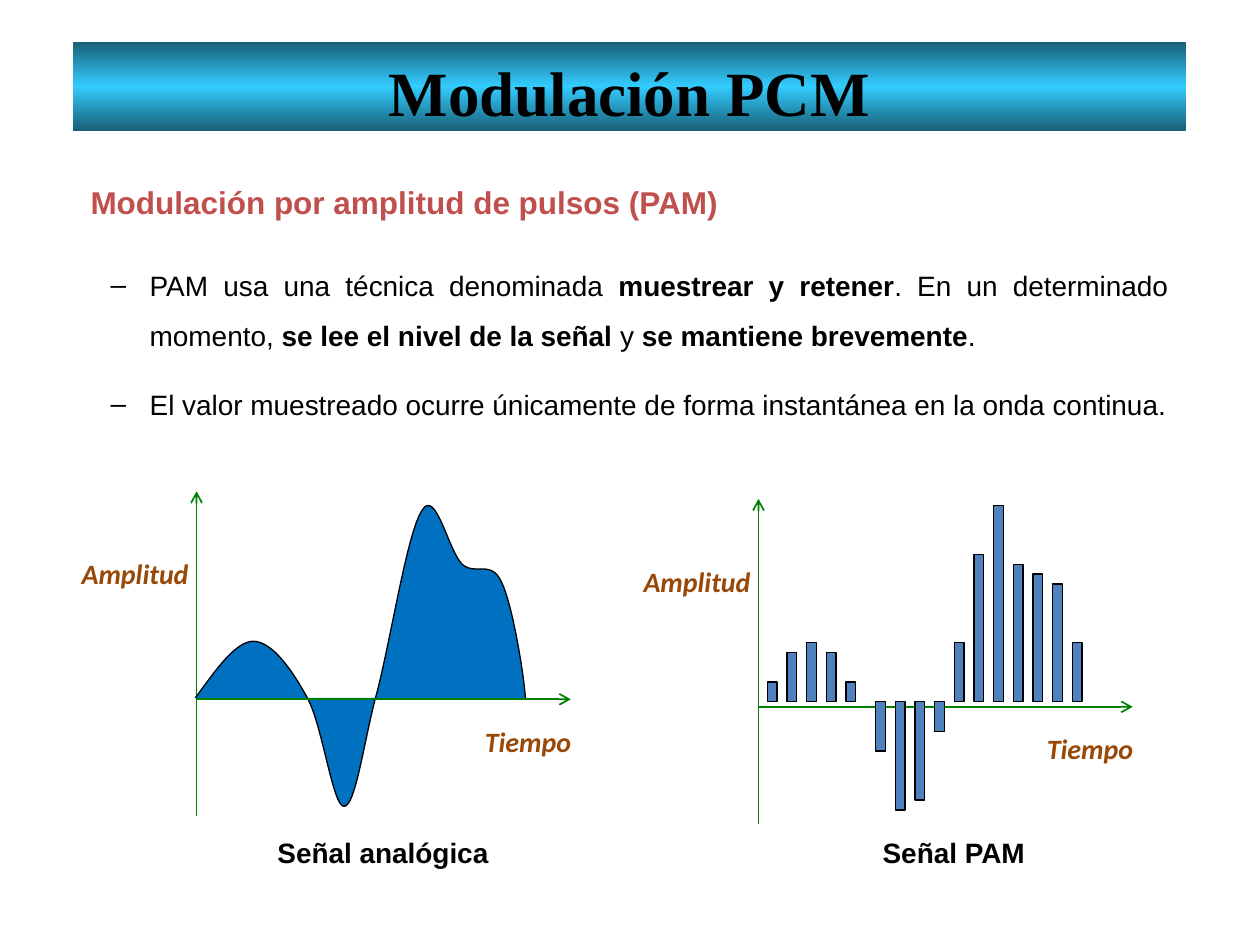
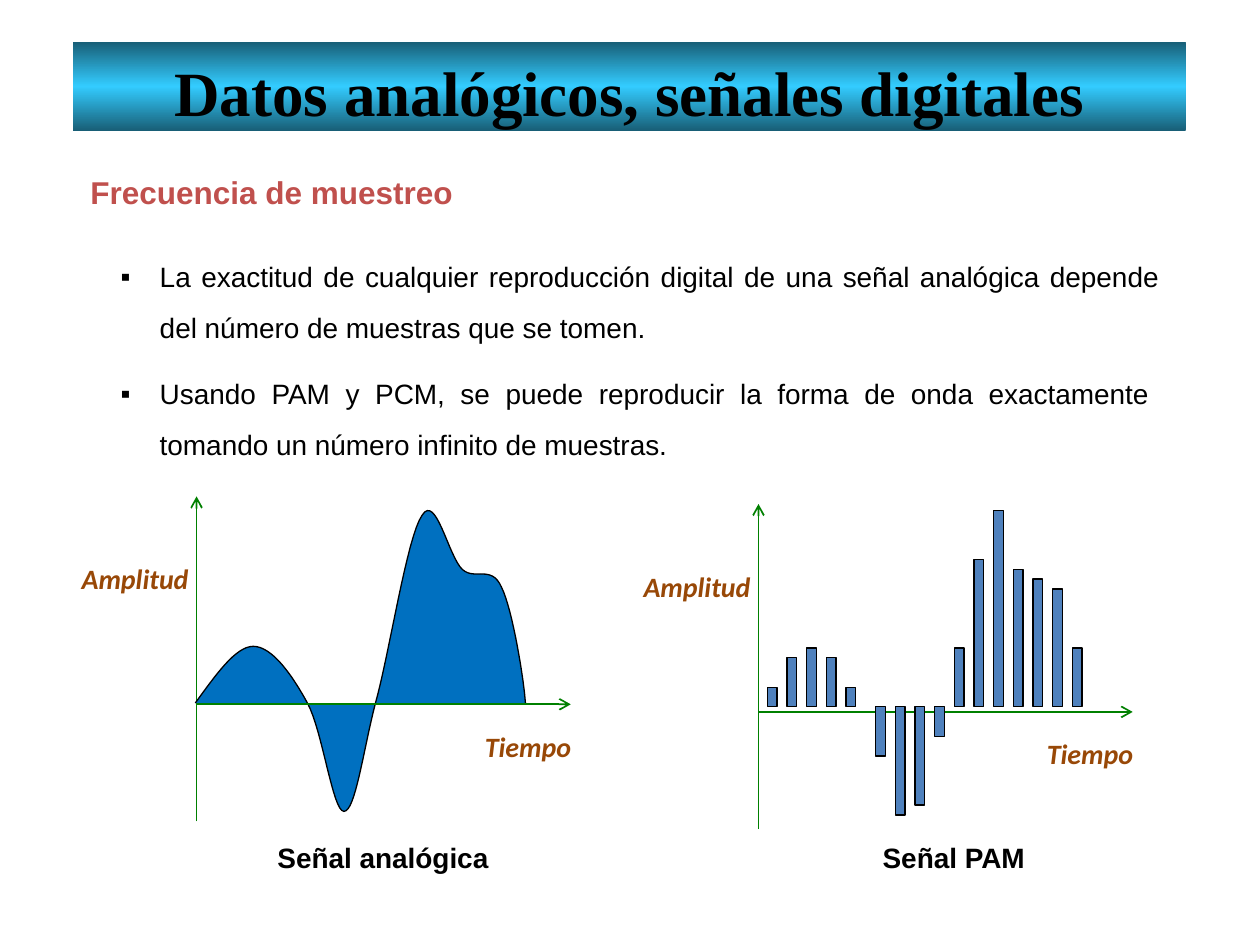
"""Builds two slides on pulse amplitude modulation and sampling."""
from copy import deepcopy
from dataclasses import dataclass

from lxml import etree
from pptx import Presentation
from pptx.dml.color import RGBColor
from pptx.enum.shapes import MSO_CONNECTOR, MSO_SHAPE
from pptx.enum.text import MSO_ANCHOR, PP_ALIGN
from pptx.oxml.ns import qn
from pptx.util import Inches, Pt

RECT = MSO_SHAPE.RECTANGLE
LINE = MSO_CONNECTOR.STRAIGHT
MIDDLE = MSO_ANCHOR.MIDDLE
LEFT, CENTER, JUSTIFY = PP_ALIGN.LEFT, PP_ALIGN.CENTER, PP_ALIGN.JUSTIFY


@dataclass(frozen=True)
class Theme:
    """Colours, fonts and sizes shared by the slides."""
    ink: str = "000000"
    edge: str = "185E76"
    glow: str = "33CCFF"
    head: str = "C0504D"
    axis: str = "008000"
    label: str = "984807"
    wave: str = "0070C0"
    pulse: str = "4F81BD"
    serif: str = "Times New Roman"
    sans: str = "Arial"
    note: str = "Calibri"
    title_size: int = 36
    head_size: int = 18
    text_size: int = 16
    thin: float = 0.75
    axis_width: float = 1


THEME = Theme()

SLIDES = [
    {
        "title": "Modulación PCM",
        "head": ("Modulación por amplitud de pulsos (PAM)", (0.62, 1.25, 5.55, 0.62)),
        "mark": "–",
        "points": [
            ([("PAM usa una técnica denominada ", False),
              ("muestrear y retener", True),
              (". En un determinado momento, ", False),
              ("se lee el nivel de la señal ", True),
              ("y ", False),
              ("se mantiene brevemente", True),
              (".", False)], (0.78, 1.95, 8.59, 0.86)),
            ([("El valor muestreado ocurre únicamente de forma instantánea "
               "en la onda continua.", False)], (0.78, 2.89, 8.59, 0.94)),
        ],
        "top": 3.9,
    },
    {
        "title": "Datos analógicos, señales digitales",
        "head": ("Frecuencia de muestreo", (0.62, 1.17, 3.44, 0.62)),
        "mark": "▪",
        "points": [
            ([("La exactitud de cualquier reproducción digital de una señal analógica "
               "depende del número de muestras que se tomen.", False)],
             (0.86, 1.88, 8.44, 0.94)),
            ([("Usando PAM y PCM, se puede reproducir la forma de onda exactamente "
               "tomando un número infinito de muestras.", False)],
             (0.86, 2.81, 8.36, 1.25)),
        ],
        "top": 3.94,
    },
]

WAVE = [
    ((0.16, 0.22), (0.32, 0.45), (0.46, 0.45)),
    ((0.61, 0.45), (0.77, 0.22), (0.89, 0)),
    ((1.01, -0.22), (1.09, -0.86), (1.18, -0.86)),
    ((1.27, -0.86), (1.33, -0.39), (1.43, 0)),
    ((1.54, 0.39), (1.68, 1.32), (1.8, 1.49)),
    ((1.91, 1.67), (2.01, 1.16), (2.12, 1.06)),
    ((2.22, 0.97), (2.35, 1.1), (2.43, 0.92)),
    ((2.52, 0.74), (2.61, 0.17), (2.62, 0)),
]
PULSES = [
    (6.09, [2, 5, 6, 5, 2]),
    (6.95, [-5, -11, -10, -3, 6, 15, 20, 14, 13, 12, 6]),
]
UNIT = 1.56 / 20
STEPS = 16
AXIS_TALL, AXIS_WIDE, CROSS = 2.58, 2.97, 1.65


def color(code):
    """Turn a hex code into a colour."""
    return RGBColor.from_string(code)


def style(font, face, size, code, bold=True, italic=False):
    """Set the look of a font."""
    font.name, font.size = face, Pt(size)
    font.bold, font.italic = bold, italic
    font.color.rgb = color(code)


def paint(shape, code):
    """Give a shape a flat fill and a thin dark outline."""
    shape.fill.solid()
    shape.fill.fore_color.rgb = color(code)
    shape.line.color.rgb = color(THEME.ink)
    shape.line.width = Pt(THEME.thin)
    shape.shadow.inherit = False


def add_text(shapes, box, runs, align):
    """Add a wrapped text box and return its paragraph."""
    frame = shapes.add_textbox(*map(Inches, box)).text_frame
    frame.word_wrap = True
    para = frame.paragraphs[0]
    para.alignment = align
    for text, bold in runs:
        run = para.add_run()
        run.text = text
        if len(runs) > 1:
            run.font.bold = bold
    return para


def hang(para, size, mark=None):
    """Set open lines and a hanging indent, with a bullet if given."""
    para.line_spacing = 1.5
    para.space_before = Pt(0.2 * size)
    props = para._p.get_or_add_pPr()
    props.set("marL", str(Inches(0.31)))
    props.set("indent", str(Inches(-0.31)))
    if mark:
        etree.SubElement(props, qn("a:buFont")).set("typeface", THEME.sans)
        etree.SubElement(props, qn("a:buChar")).set("char", mark)


def add_band(shapes, title):
    """Draw the title band."""
    band = shapes.add_shape(RECT, *map(Inches, (0.58, 0.33, 8.83, 0.71)))
    band.shadow.inherit = False
    band.line.fill.background()
    band.fill.gradient()
    band.fill.gradient_angle = 90
    stops = band._element.spPr.find(".//" + qn("a:gsLst"))
    stops.append(deepcopy(stops[1]))
    shades = (THEME.edge, THEME.glow, THEME.edge)
    for i, (stop, shade) in enumerate(zip(band.fill.gradient_stops, shades)):
        stop.position = i / 2
        stop.color.rgb = color(shade)
    frame = band.text_frame
    frame.vertical_anchor = MIDDLE
    frame.margin_top, frame.margin_bottom = Inches(0.1), Inches(0.02)
    para = frame.paragraphs[0]
    para.text, para.alignment = title, CENTER
    style(para.font, THEME.serif, THEME.title_size, THEME.ink)


def add_axis(shapes, start, end):
    """Draw an axis with an arrow at its end."""
    axis = shapes.add_connector(LINE, *map(Inches, start + end))
    axis.line.color.rgb = color(THEME.axis)
    axis.line.width = Pt(THEME.axis_width)
    etree.SubElement(axis.line._get_or_add_ln(), qn("a:tailEnd")).set("type", "arrow")
    etree.SubElement(axis._element.spPr, qn("a:effectLst"))


def draw_wave(shapes, top):
    """Draw the analogue wave from its Bezier arcs."""
    left, base = 1.55, top + CROSS - 0.01
    spots, start = [], (0, 0)
    for arc in WAVE:
        ends = (start,) + arc
        for i in range(1, STEPS + 1):
            t = i / STEPS
            parts = ((1 - t) ** 3, 3 * t * (1 - t) ** 2, 3 * t * t * (1 - t), t ** 3)
            x, y = (sum(w * spot[k] for w, spot in zip(parts, ends)) for k in (0, 1))
            spots.append((Inches(left + x), Inches(base - y)))
        start = arc[-1]
    pen = shapes.build_freeform(Inches(left), Inches(base))
    pen.add_line_segments(spots, close=False)
    paint(pen.convert_to_shape(), THEME.wave)


def draw_pulses(shapes, top):
    """Draw the sampled pulses on their base line."""
    base = top + CROSS - 0.04
    for left, levels in PULSES:
        for i, level in enumerate(levels):
            box = (left + 2 * i * UNIT, base - max(level, 0) * UNIT,
                   UNIT, abs(level) * UNIT)
            paint(shapes.add_shape(RECT, *map(Inches, box)), THEME.pulse)


def add_graph(slide, x, top, name, name_at, draw, over):
    """Draw one graph with axes, labels and name."""
    shapes = slide.shapes.add_group_shape().shapes
    level = top + CROSS
    add_axis(shapes, (x, top + AXIS_TALL), (x, top))
    if not over:
        draw(shapes, top)
    add_axis(shapes, (x, level), (x + AXIS_WIDE, level))
    if over:
        draw(shapes, top)
    for text, left, down in (("Amplitud", x - 1.01, 0.47), ("Tiempo", x + 2.19, 1.8)):
        para = add_text(shapes, (left, top + down, 1.33, 0.37), [(text, True)], LEFT)
        style(para.font, THEME.note, THEME.text_size, THEME.label, italic=True)
    para = add_text(shapes, name_at + (2.34, 0.37), [(name, True)], CENTER)
    style(para.font, THEME.sans, THEME.text_size, THEME.ink)


def add_slide(deck, data):
    """Build one slide from its content."""
    slide = deck.slides.add_slide(deck.slide_layouts[6])
    top = data["top"]
    low = top + 2.68
    add_graph(slide, 1.56, top, "Señal analógica", (1.87, low), draw_wave, False)
    add_graph(slide, 6.02, top + 0.06, "Señal PAM", (6.4, low), draw_pulses, True)
    add_band(slide.shapes, data["title"])
    text, box = data["head"]
    para = add_text(slide.shapes, box, [(text, True)], JUSTIFY)
    hang(para, THEME.head_size)
    style(para.font, THEME.sans, THEME.head_size, THEME.head)
    for runs, box in data["points"]:
        para = add_text(slide.shapes, box, runs, JUSTIFY)
        hang(para, THEME.text_size, data["mark"])
        style(para.font, THEME.sans, THEME.text_size, THEME.ink, bold=False)


deck = Presentation()
deck.slide_width, deck.slide_height = Inches(10), Inches(7.5)
for data in SLIDES:
    add_slide(deck, data)
deck.save("out.pptx")
